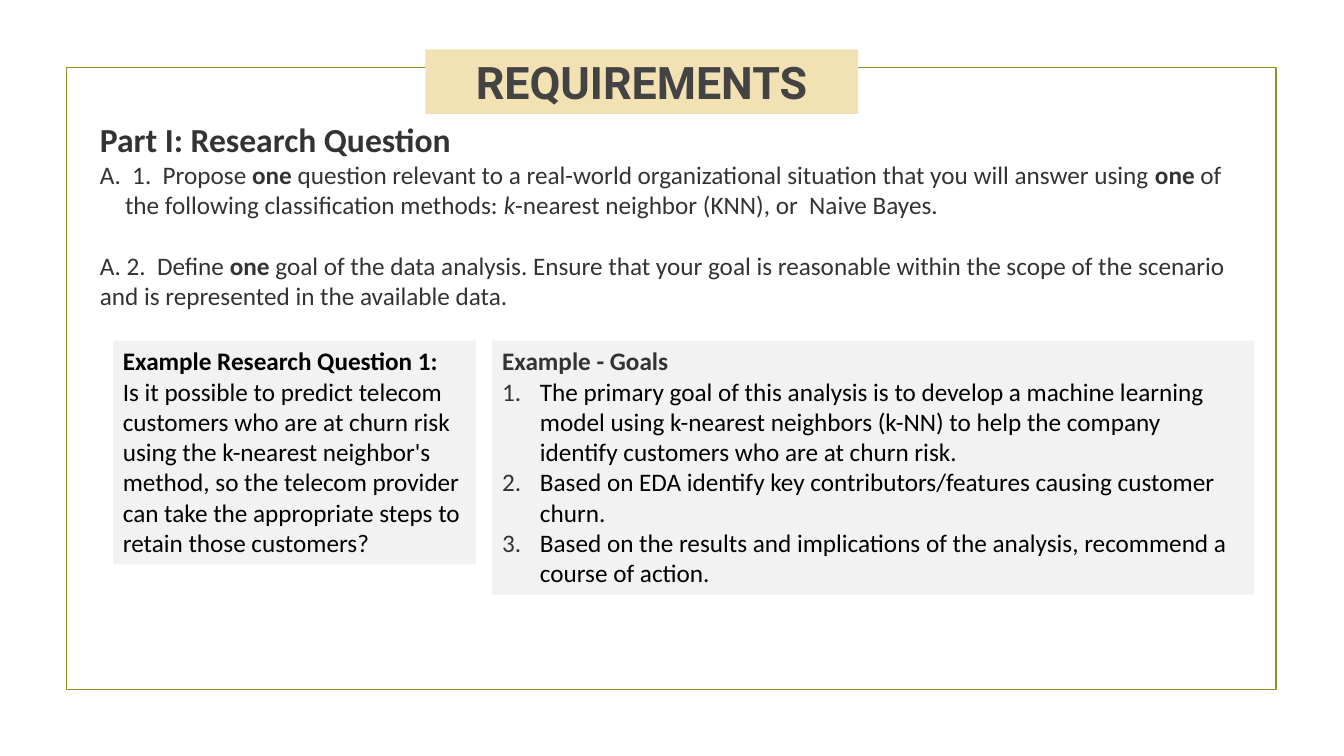
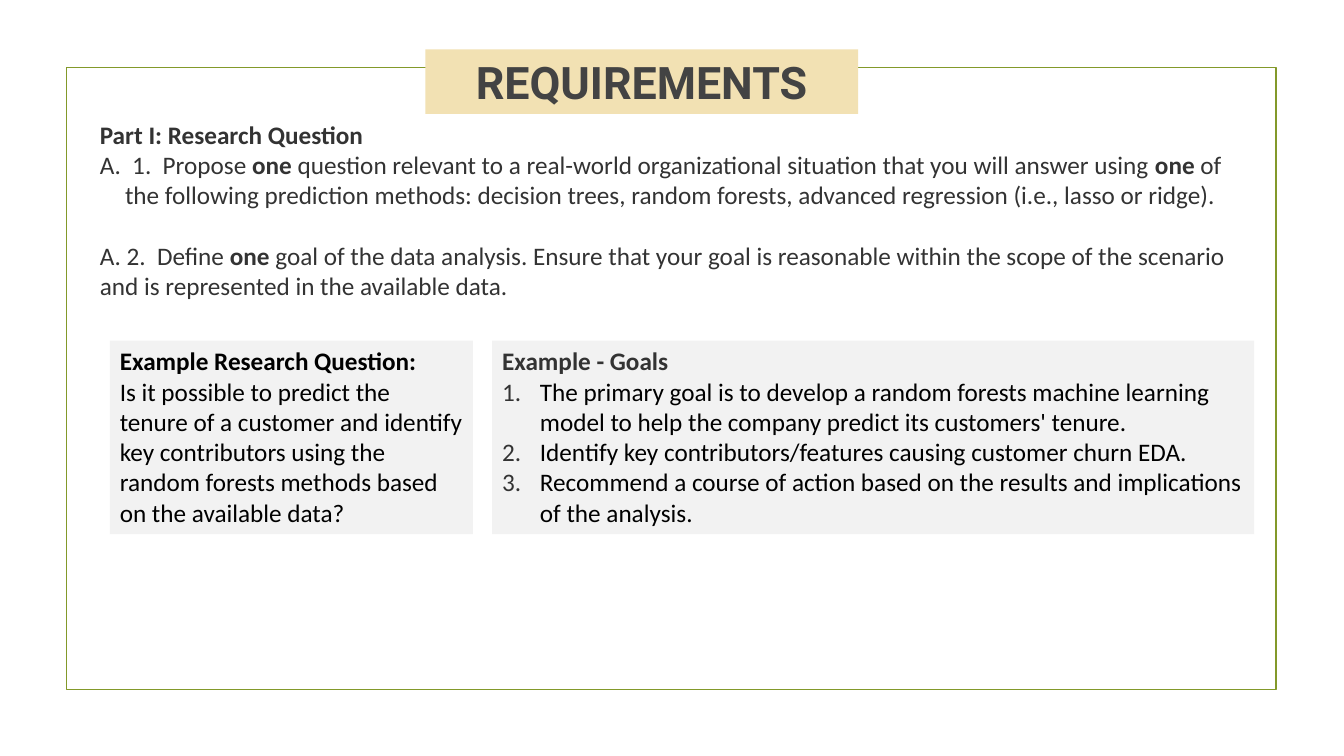
import pptx
import pptx.dml.color
import pptx.enum.shapes
import pptx.enum.text
import pptx.oxml.ns
import pptx.util
from lxml import etree

RGBColor = pptx.dml.color.RGBColor
GREEN = RGBColor(0x83, 0x99, 0x2A)
SAND = RGBColor(0xF2, 0xE1, 0xB3)
PALE = RGBColor(0xF2, 0xF2, 0xF2)
SLATE = RGBColor(0x43, 0x43, 0x43)
CHARCOAL = RGBColor(0x33, 0x33, 0x33)
BLACK = RGBColor(0, 0, 0)

# Grid: ten columns and ten rows to the inch
CELL = pptx.util.Inches(0.1)
TITLE_FONT, BODY_FONT = "Roboto", "Calibri"
TWO_CONTENT = 3


def add_text(frame, text, *, size=18, color=CHARCOAL, font=BODY_FONT, bold=False,
             align=pptx.enum.text.PP_ALIGN.LEFT, hang=0, before=0, numbered=False):
    """Add a paragraph; *stars* switch to bold and _underscores_ to italic."""
    para = frame.paragraphs[-1]
    if para.runs:
        para = frame.add_paragraph()
    para.alignment = align
    para.space_before = pptx.util.Pt(before)

    # Hanging indent and numbering
    props = para._p.get_or_add_pPr()
    indent = int(hang * CELL)
    props.set("marL", str(indent))
    props.set("indent", str(-indent))
    qn = pptx.oxml.ns.qn
    if numbered:
        tint = etree.SubElement(props, qn("a:buClr"))
        etree.SubElement(tint, qn("a:srgbClr"), val=str(CHARCOAL))
        etree.SubElement(props, qn("a:buFont"), typeface=font)
        etree.SubElement(props, qn("a:buAutoNum"), type="arabicPeriod")
    else:
        etree.SubElement(props, qn("a:buNone"))

    # Spans
    for starred, chunk in enumerate(text.split("*")):
        for slanted, piece in enumerate(chunk.split("_")):
            if piece:
                span = para.add_run()
                span.text = piece
                span.font.name = font
                span.font.size = pptx.util.Pt(size)
                span.font.color.rgb = color
                span.font.bold = bold or starred % 2 == 1
                span.font.italic = slanted % 2 == 1


class RequirementsDeck:
    """Holds the shared style and the current page."""

    def __init__(self):
        self.deck = pptx.Presentation()
        self.deck.slide_width = pptx.util.Inches(13.33)
        self.deck.slide_height = pptx.util.Inches(7.5)
        self.page = None

    def place(self, box, left, top, width, height, fill=None):
        """Put a text box or placeholder on the grid and return its text frame."""
        box.left, box.top = int(left * CELL), int(top * CELL)
        box.width, box.height = int(width * CELL), int(height * CELL)
        if fill is not None:
            box.fill.solid()
            box.fill.fore_color.rgb = fill
        frame = box.text_frame
        frame.word_wrap = True
        frame.auto_size = pptx.enum.text.MSO_AUTO_SIZE.NONE
        return frame

    def start_page(self, title):
        self.page = self.deck.slides.add_slide(self.deck.slide_layouts[TWO_CONTENT])
        self.border()
        frame = self.place(self.page.shapes.title, 42.2, 4.9, 42.9, 6.4, SAND)
        frame.vertical_anchor = pptx.enum.text.MSO_ANCHOR.MIDDLE
        add_text(frame, title, size=32, color=SLATE, font=TITLE_FONT, bold=True,
                 align=pptx.enum.text.PP_ALIGN.CENTER)

    def border(self):
        border = self.page.shapes.add_shape(
            pptx.enum.shapes.MSO_SHAPE.RECTANGLE,
            *(int(cells * CELL) for cells in (6.6, 6.7, 120, 61.7)))
        border.shadow.inherit = False
        border.fill.background()
        border.line.color.rgb = GREEN
        border.line.width = pptx.util.Pt(1.25)
        # Send behind the placeholders
        border.element.getparent().insert(2, border.element)

    def requirements(self, methods, heading_size, height):
        frame = self.place(self.page.placeholders[1], 8.9, 11.3, 115.5, height)
        add_text(frame, "Part I: Research Question", size=heading_size, bold=True)
        add_text(frame, "A.  1.  Propose *one* question relevant to a real-world "
                 "organizational situation that you will answer using *one* of the "
                 f"following {methods}.", hang=2.5)
        add_text(frame, "A. 2.  Define *one* goal of the data analysis. Ensure that your "
                 "goal is reasonable within the scope of the scenario and is represented "
                 "in the available data.", before=22)

    def question(self, heading, text, left, height):
        box = self.page.shapes.add_textbox(0, 0, CELL, CELL)
        frame = self.place(box, left, 33.8, 36, height, PALE)
        add_text(frame, heading, color=BLACK, bold=True)
        add_text(frame, text, color=BLACK)

    def goals(self, items, height):
        frame = self.place(self.page.placeholders[2], 48.8, 33.8, 75.6, height, PALE)
        add_text(frame, "Example - Goals", bold=True)
        for item in items:
            add_text(frame, item, color=BLACK, hang=3.75, numbered=True)


def main():
    show = RequirementsDeck()

    # Classification
    show.start_page("REQUIREMENTS")
    show.requirements("classification methods: _k_-nearest neighbor (KNN), or  Naive Bayes",
                      heading_size=24, height=20.2)
    show.question("Example Research Question 1:",
                  "Is it possible to predict telecom customers who are at churn risk using "
                  "the k-nearest neighbor's method, so the telecom provider can take the "
                  "appropriate steps to retain those customers?", left=11.2, height=22.2)
    show.goals([
        "The primary goal of this analysis is to develop a machine learning model using "
        "k-nearest neighbors (k-NN) to help the company identify customers who are at "
        "churn risk.",
        "Based on EDA identify key contributors/features causing customer churn.",
        "Based on the results and implications of the analysis, recommend a course of action.",
    ], height=25.2)

    # Prediction
    show.start_page("REQUIREMENTS")
    show.requirements("prediction methods: decision trees, random forests, advanced "
                      "regression (i.e., lasso or ridge)", heading_size=18, height=19.2)
    show.question("Example Research Question:",
                  "Is it possible to predict the tenure of a customer and identify key "
                  "contributors using the random forests methods based on the available "
                  "data?", left=10.9, height=19.2)
    show.goals([
        "The primary goal is to develop a random forests machine learning model to help "
        "the company predict its customers' tenure.",
        "Identify key contributors/features causing customer churn EDA.",
        "Recommend a course of action based on the results and implications of the analysis.",
    ], height=19.2)

    show.deck.save("out.pptx")


if __name__ == "__main__":
    main()
